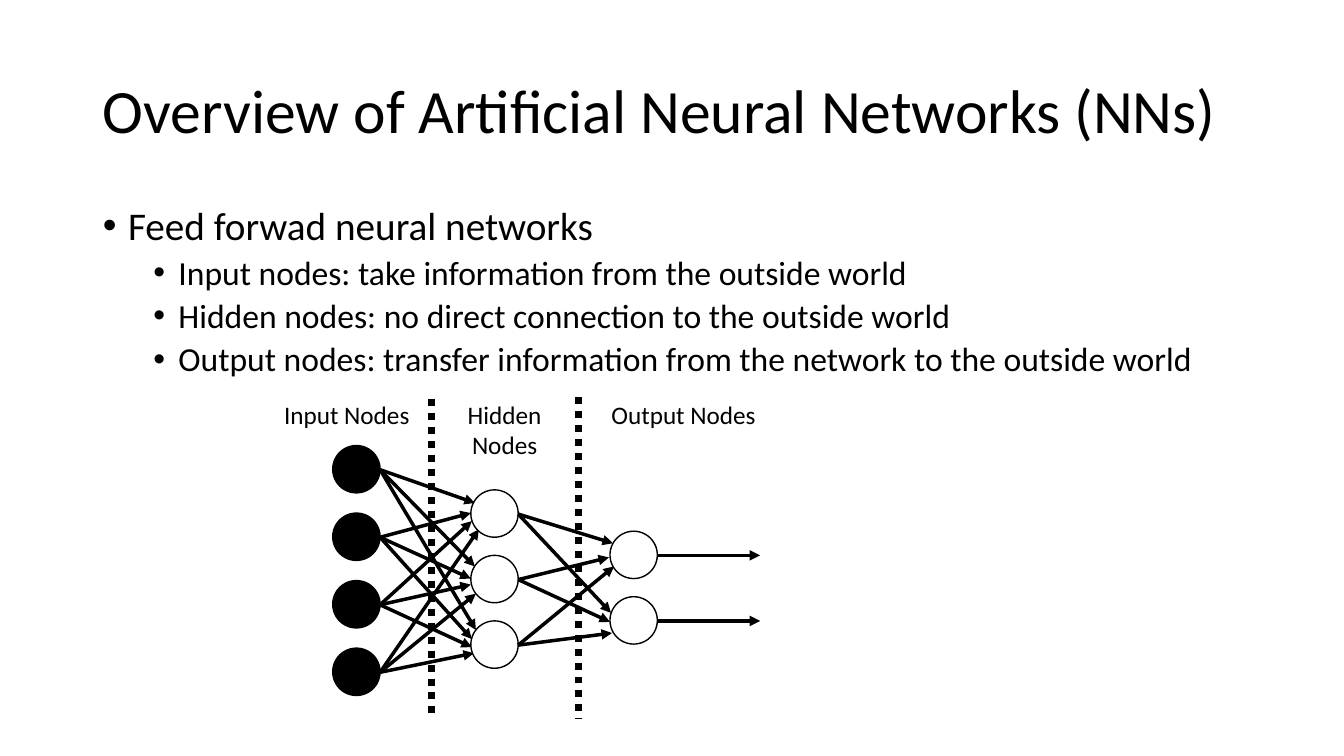
from dataclasses import dataclass

from lxml.etree import SubElement
from pptx import Presentation
from pptx.dml.color import RGBColor
from pptx.enum.dml import MSO_LINE
from pptx.enum.shapes import MSO_CONNECTOR, MSO_SHAPE
from pptx.enum.text import MSO_ANCHOR, MSO_AUTO_SIZE, PP_ALIGN
from pptx.oxml.ns import qn
from pptx.util import Emu, Pt

EMU_PER_PX = 9144  # 100 px to the inch


@dataclass(frozen=True)
class Theme:
    ink: RGBColor = RGBColor(0, 0, 0)
    paper: RGBColor = RGBColor(255, 255, 255)
    font: str = "Calibri"
    title_size: int = 44
    list_sizes: tuple = (28, 24)
    label_size: int = 18
    outline: float = 1
    arrow: float = 2.5
    divider: float = 5


def px(length):
    return Emu(length * EMU_PER_PX)


def apply(target, values):
    """Set each attribute named in values on target."""
    for name, value in values.items():
        setattr(target, name, value)


class SlideBuilder:
    def __init__(self, slide, theme):
        self.slide = slide
        self.theme = theme

    def place(self, shape, box):
        apply(shape, dict(zip(("left", "top", "width", "height"), map(px, box))))

    def fill_paragraph(self, paragraph, text, size, values):
        paragraph.text = text
        apply(paragraph, values)
        font = paragraph.runs[0].font
        apply(font, {"name": self.theme.font, "size": Pt(size)})
        font.color.rgb = self.theme.ink

    def title(self, text, box):
        shape = self.slide.shapes.title
        self.place(shape, box)
        apply(shape.text_frame, {"vertical_anchor": MSO_ANCHOR.MIDDLE,
                                 "auto_size": MSO_AUTO_SIZE.NONE})
        self.fill_paragraph(shape.text_frame.paragraphs[0], text, self.theme.title_size,
                            {"alignment": PP_ALIGN.LEFT, "line_spacing": 0.9})

    def bullets(self, items, box):
        """Fill the body placeholder with (level, text) items."""
        shape = self.slide.placeholders[1]
        self.place(shape, box)
        frame = shape.text_frame
        frame.auto_size = MSO_AUTO_SIZE.NONE
        for index, (level, text) in enumerate(items):
            paragraph = frame.add_paragraph() if index else frame.paragraphs[0]
            self.fill_paragraph(paragraph, text, self.theme.list_sizes[level], {
                "level": level, "line_spacing": 0.9,
                "space_before": Pt((10, 5)[level])})
            properties = paragraph._p.get_or_add_pPr()
            properties.set("marL", str(px(25 + 50 * level)))
            properties.set("indent", str(px(-25)))
            SubElement(properties, qn("a:buFont"), typeface="Arial")
            SubElement(properties, qn("a:buChar"), char="•")

    def label(self, text, box):
        shape = self.slide.shapes.add_textbox(*map(px, box))
        frame = shape.text_frame
        apply(frame, {"word_wrap": True, "auto_size": MSO_AUTO_SIZE.SHAPE_TO_FIT_TEXT,
                      "margin_left": 0, "margin_right": 0,
                      "margin_top": 0, "margin_bottom": 0})
        self.fill_paragraph(frame.paragraphs[0], text, self.theme.label_size,
                            {"alignment": PP_ALIGN.CENTER})

    def node(self, left, top, size, fill):
        shape = self.slide.shapes.add_shape(
            MSO_SHAPE.OVAL, px(left), px(top), px(size), px(size))
        shape.shadow.inherit = False
        shape.fill.solid()
        shape.fill.fore_color.rgb = fill
        shape.line.color.rgb = self.theme.ink
        shape.line.width = Pt(self.theme.outline)

    def line(self, start, end, width):
        connector = self.slide.shapes.add_connector(
            MSO_CONNECTOR.STRAIGHT, *map(px, (*start, *end)))
        connector.line.color.rgb = self.theme.ink
        connector.line.width = Pt(width)
        SubElement(connector._element.spPr, qn("a:effectLst"))
        return connector

    def arrow(self, start, end):
        connector = self.line(start, end, self.theme.arrow)
        outline = connector._element.spPr.find(qn("a:ln"))
        SubElement(outline, qn("a:tailEnd"), type="triangle")

    def divider(self, start, end):
        self.line(start, end, self.theme.divider).line.dash_style = MSO_LINE.ROUND_DOT


THEME = Theme()
NODE_SIZE = 47
BULLETS = [
    (0, "Feed forwad neural networks"),
    (1, "Input nodes: take information from the outside world"),
    (1, "Hidden nodes: no direct connection to the outside world"),
    (1, "Output nodes: transfer information from the network to the outside world"),
]
# left, first top, step, fill, then the arrow tips that leave each node
LAYERS = [
    (330, 442, 67, THEME.ink, [
        [(471, 499), (471, 562), (472, 625)],
        [(467, 509), (467, 574), (468, 634)],
        [(468, 517), (467, 580), (468, 642)],
        [(475, 525), (472, 589), (470, 648)],
    ]),
    (467, 486, 65, THEME.paper, [
        [(608, 539), (606, 608)],
        [(604, 553), (605, 617)],
        [(609, 562), (607, 628)],
    ]),
    (605, 527, 65, THEME.paper, [[(754, 551)], [(754, 616)]]),
]
LABELS = [
    ("Input Nodes", (278, 396, 132, 30)),
    ("Hidden Nodes", (439, 396, 123, 61)),
    ("Output Nodes", (593, 396, 170, 30)),
]
DIVIDERS = [((428, 396), (428, 714)), ((574, 394), (574, 713))]


def main():
    presentation = Presentation()
    apply(presentation, {"slide_width": px(1333), "slide_height": px(750)})
    builder = SlideBuilder(
        presentation.slides.add_slide(presentation.slide_layouts[1]), THEME)
    builder.bullets(BULLETS, (92, 200, 1150, 476))
    builder.title("Overview of Artificial Neural Networks (NNs)", (92, 40, 1200, 145))
    for left, first_top, step, fill, tips_by_node in LAYERS:
        for row, tips in enumerate(tips_by_node):
            top = first_top + row * step
            builder.node(left, top, NODE_SIZE, fill)
            for tip in tips:
                builder.arrow((left + NODE_SIZE, top + 24), tip)
    for text, box in LABELS:
        builder.label(text, box)
    for start, end in DIVIDERS:
        builder.divider(start, end)
    presentation.save("out.pptx")


if __name__ == "__main__":
    main()
